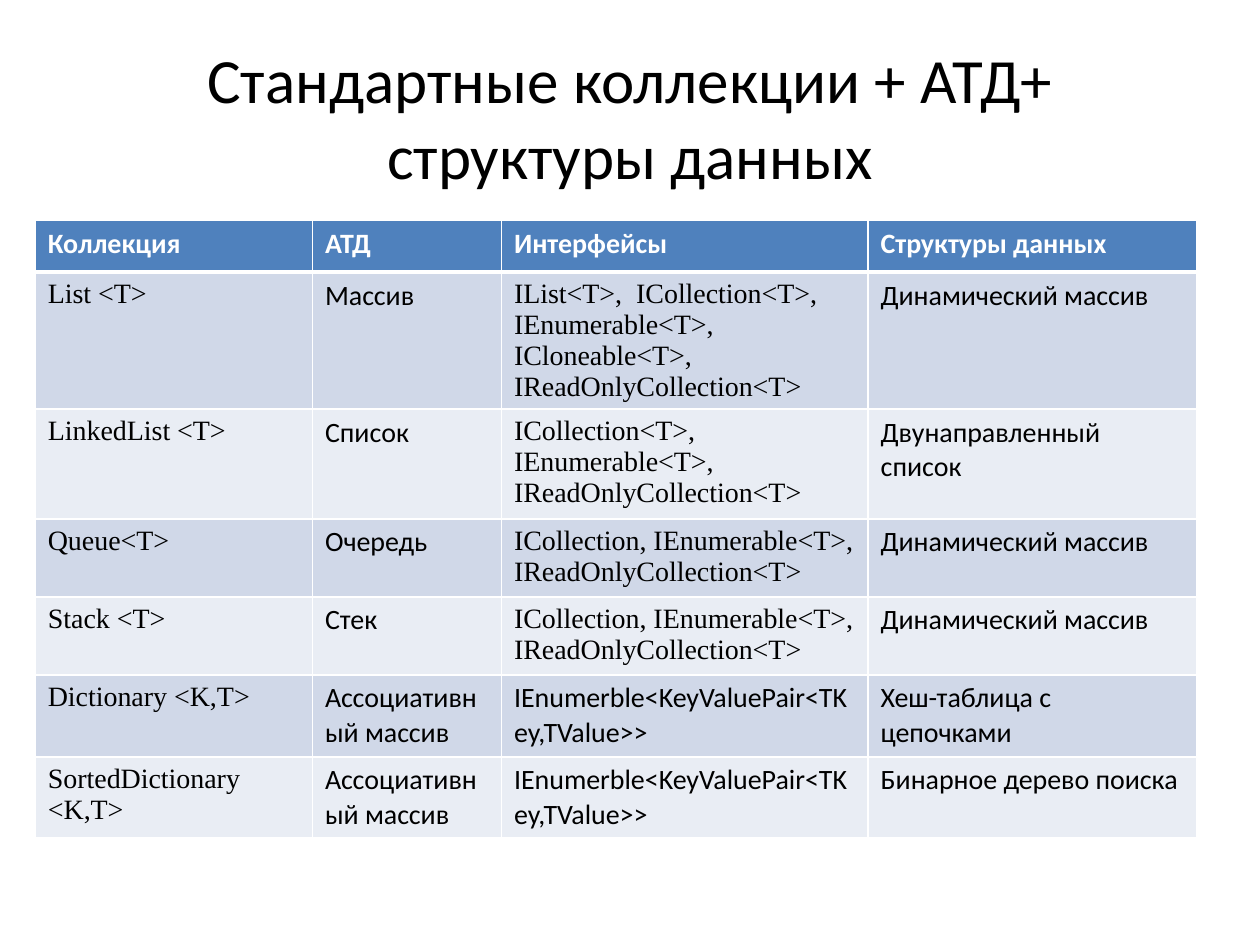
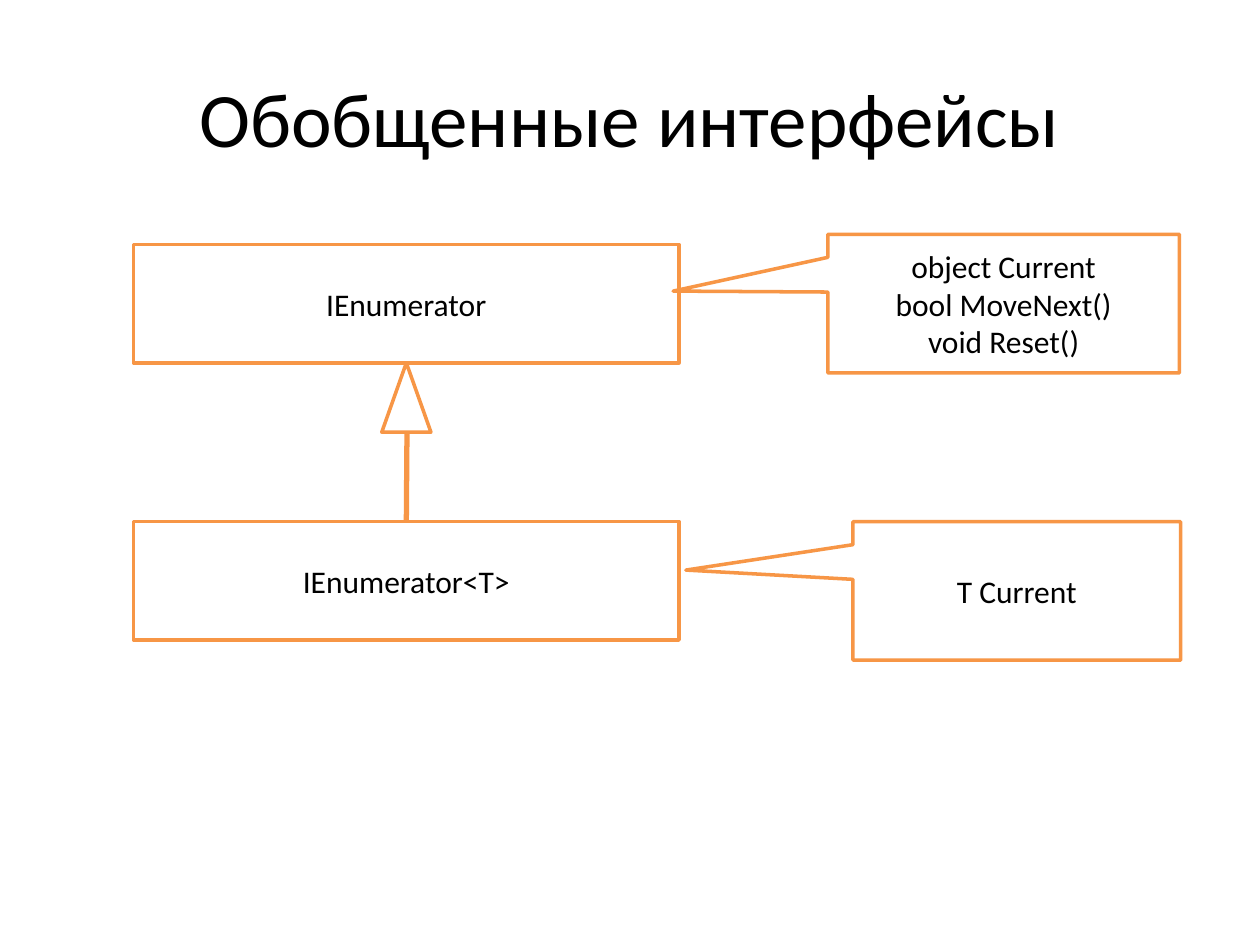
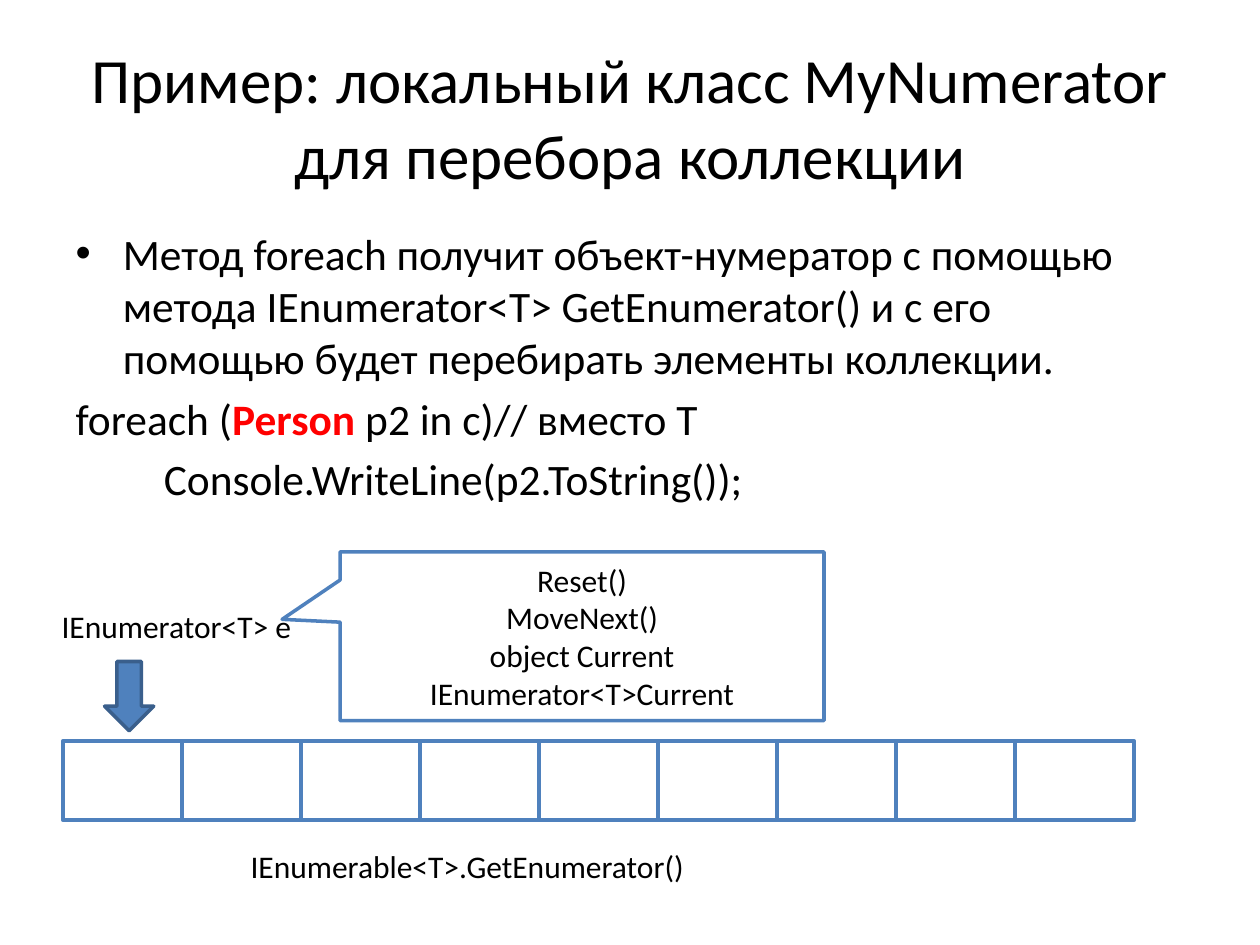
import dataclasses

import lxml.etree
import pptx
import pptx.dml.color
import pptx.enum.shapes
import pptx.enum.text
import pptx.oxml.ns
import pptx.util

Inches = pptx.util.Inches
Pt = pptx.util.Pt
Shape = pptx.enum.shapes.MSO_SHAPE
Align = pptx.enum.text.PP_ALIGN
Anchor = pptx.enum.text.MSO_ANCHOR
qn = pptx.oxml.ns.qn


@dataclasses.dataclass(frozen=True)
class Theme:
    font: str = "Calibri"
    code_font: str = "Times New Roman"
    text: str = "000000"
    white: str = "FFFFFF"
    blue: str = "4F81BD"
    dark_blue: str = "3A5F8C"
    orange: str = "F79646"
    red: str = "FF0000"
    bands: tuple = ("D0D8E8", "E9EDF4")
    title_size: float = 44
    long_title_size: float = 36
    body_size: float = 24.8
    label_size: float = 18
    table_size: float = 16
    outline: float = 2
    cell_outline: float = 2.25
    connector: float = 3


def rgb(color):
    return pptx.dml.color.RGBColor.from_string(color)


class Deck:
    def __init__(self, theme):
        self.theme = theme
        self.presentation = pptx.Presentation()
        self.presentation.slide_width = Inches(10)
        self.presentation.slide_height = Inches(7.5)

    def add_slide(self, title, size, layout="Title Only"):
        slide_layout = self.presentation.slide_layouts.get_by_name(layout)
        self.slide = self.presentation.slides.add_slide(slide_layout)
        self.shapes = self.slide.shapes
        shape = self.slide.shapes.title
        self.place(shape, 0.5, 0.3, 9, 1.25)
        frame = shape.text_frame
        frame.auto_size = pptx.enum.text.MSO_AUTO_SIZE.NONE
        frame.vertical_anchor = Anchor.MIDDLE
        self.set_lines(frame, [title], size, Align.CENTER)

    def start_group(self):
        self.shapes = self.slide.shapes.add_group_shape().shapes

    def place(self, shape, left, top, width, height):
        shape.left, shape.top = Inches(left), Inches(top)
        shape.width, shape.height = Inches(width), Inches(height)

    def style(self, font, size, color=None, name=None, bold=False):
        font.name = name or self.theme.font
        font.size = Pt(size)
        font.bold = bold
        font.color.rgb = rgb(color or self.theme.text)

    def set_lines(self, frame, lines, size, alignment=Align.LEFT):
        frame.text = "\n".join(lines)
        for paragraph in frame.paragraphs:
            paragraph.alignment = alignment
            self.style(paragraph.font, size)

    def body(self, paragraphs, height):
        shape = self.slide.placeholders[1]
        self.place(shape, 0.5, 1.75, 9, height)
        frame = shape.text_frame
        frame.auto_size = pptx.enum.text.MSO_AUTO_SIZE.NONE
        for index, (indent, runs) in enumerate(paragraphs):
            paragraph = frame.paragraphs[0] if index == 0 else frame.add_paragraph()
            self.style(paragraph.font, self.theme.body_size)
            for text, highlighted in runs:
                run = paragraph.add_run()
                run.text = text
                if highlighted:
                    run.font.bold = True
                    run.font.color.rgb = rgb(self.theme.red)
            if indent is not None:
                properties = paragraph._p.get_or_add_pPr()
                properties.set("marL", str(Inches(indent)))
                properties.set("indent", "0")
                properties.insert(0, properties.makeelement(qn("a:buNone"), {}))

    def shape(self, kind, left, top, width, height, line, lines=(),
              fill=None, line_width=None, pointer=()):
        shape = self.shapes.add_shape(
            kind, Inches(left), Inches(top), Inches(width), Inches(height))
        shape.shadow.inherit = False
        shape.fill.solid()
        shape.fill.fore_color.rgb = rgb(fill or self.theme.white)
        shape.line.color.rgb = rgb(line)
        shape.line.width = Pt(line_width or self.theme.outline)
        for index, value in enumerate(pointer):
            shape.adjustments[index] = value
        if lines:
            shape.text_frame.vertical_anchor = Anchor.MIDDLE
            self.set_lines(shape.text_frame, lines, self.theme.label_size, Align.CENTER)
        return shape

    def label(self, left, top, width, text):
        shape = self.shapes.add_textbox(
            Inches(left), Inches(top), Inches(width), Inches(0.4))
        shape.text_frame.word_wrap = True
        self.set_lines(shape.text_frame, [text], self.theme.label_size)

    def connector_to_top(self, x, top, target, color):
        connector = self.shapes.add_connector(
            pptx.enum.shapes.MSO_CONNECTOR.STRAIGHT,
            Inches(x), Inches(top), Inches(x), target.top)
        connector.end_connect(target, 0)
        connector.line.color.rgb = rgb(color)
        connector.line.width = Pt(self.theme.connector)
        lxml.etree.SubElement(connector._element.spPr, qn("a:effectLst"))

    def cell_borders(self, cell, bottom_width):
        properties = cell._tc.get_or_add_tcPr()
        sides = (("L", 1), ("R", 1), ("T", 1), ("B", bottom_width))
        for index, (side, width) in enumerate(sides):
            border = properties.makeelement(qn(f"a:ln{side}"), {"w": str(Pt(width))})
            fill = lxml.etree.SubElement(border, qn("a:solidFill"))
            lxml.etree.SubElement(fill, qn("a:srgbClr"), val=self.theme.white)
            properties.insert(index, border)

    def table(self, left, top, widths, heights, rows, is_code):
        table = self.shapes.add_table(
            len(rows), len(widths), Inches(left), Inches(top),
            Inches(sum(widths)), Inches(sum(heights))).table
        for column, width in zip(table.columns, widths):
            column.width = Inches(width)
        for row, height in zip(table.rows, heights):
            row.height = Inches(height)
        for row_index, row in enumerate(rows):
            header = row_index == 0
            fill = self.theme.blue if header else self.theme.bands[(row_index - 1) % 2]
            for column_index, text in enumerate(row):
                cell = table.cell(row_index, column_index)
                cell.text = text
                cell.fill.solid()
                cell.fill.fore_color.rgb = rgb(fill)
                code = not header and is_code(column_index, text)
                self.style(cell.text_frame.paragraphs[0].font, self.theme.table_size,
                           self.theme.white if header else self.theme.text,
                           self.theme.code_font if code else self.theme.font, header)
                self.cell_borders(cell, 3 if header else 1)


def add_collections(deck):
    deck.add_slide("Стандартные коллекции + АТД+ структуры данных",
                   deck.theme.long_title_size)
    queue_interfaces = "ICollection, IEnumerable<T>, IReadOnlyCollection<T>"
    pair_interfaces = "IEnumerble<KeyValuePair<TKey,TValue>>"
    rows = [
        ("Коллекция", "АТД", "Интерфейсы", "Структуры данных"),
        ("List <T>", "Массив",
         "IList<T>,  ICollection<T>, IEnumerable<T>, ICloneable<T>, IReadOnlyCollection<T>",
         "Динамический массив"),
        ("LinkedList <T>", "Список",
         "ICollection<T>, IEnumerable<T>, IReadOnlyCollection<T>",
         "Двунаправленный список"),
        ("Queue<T>", "Очередь", queue_interfaces, "Динамический массив"),
        ("Stack <T>", "Стек", queue_interfaces, "Динамический массив"),
        ("Dictionary <K,T>", "Ассоциативный массив", pair_interfaces,
         "Хеш-таблица с цепочками"),
        ("SortedDictionary <K,T>", "Ассоциативный массив", pair_interfaces,
         "Бинарное дерево поиска"),
    ]
    deck.table(0.28, 1.75, (2.2, 1.5, 2.91, 2.61),
               (0.41, 1.08, 0.87, 0.62, 0.62, 0.65, 0.64), rows,
               lambda column, text: column == 0
               or (column == 2 and text != pair_interfaces))


def add_interfaces(deck):
    orange = deck.theme.orange
    deck.add_slide("Обобщенные интерфейсы", deck.theme.title_size)
    base, generic = [
        deck.shape(Shape.RECTANGLE, 1.06, top, 4.33, 0.94, orange, [name])
        for top, name in ((1.94, "IEnumerator"), (4.14, "IEnumerator<T>"))]
    deck.shape(Shape.ISOSCELES_TRIANGLE, 3.03, 2.88, 0.39, 0.55, orange)
    deck.connector_to_top(3.23, 3.44, generic, orange)
    deck.shape(Shape.RECTANGULAR_CALLOUT, 6.57, 1.86, 2.79, 1.1, orange,
               ["object Current", "bool MoveNext()", "void Reset()"],
               pointer=(-0.94, -0.09))
    deck.shape(Shape.RECTANGULAR_CALLOUT, 6.77, 4.14, 2.6, 1.1, orange,
               ["T Current"], pointer=(-1.01, -0.15))


def add_enumerator_example(deck):
    theme = deck.theme
    deck.add_slide("Пример: локальный класс MyNumerator для перебора коллекции",
                   theme.long_title_size, "Title and Content")
    deck.body([
        (None, [("Метод foreach получит объект-нумератор с помощью метода "
                 "IEnumerator<T> GetEnumerator() и с его помощью будет "
                 "перебирать элементы коллекции.", False)]),
        (0, [("foreach (", False), ("Person", True),
             (" p2 in c)// вместо Т", False)]),
        (0.7, [("Console.WriteLine(p2.ToString());", False)]),
    ], 2.31)
    deck.start_group()
    cell_count = 9
    cell_width = 8.5 / cell_count
    for index in range(cell_count):
        deck.shape(Shape.RECTANGLE, 0.5 + index * cell_width, 5.88, cell_width, 0.63,
                   theme.blue, line_width=theme.cell_outline)
    deck.shape(Shape.DOWN_ARROW, 0.83, 5.25, 0.39, 0.55, theme.dark_blue,
               fill=theme.blue)
    deck.label(0.39, 4.77, 2.25, "IEnumerator<T> e")
    deck.label(1.89, 6.67, 4.65, "IEnumerable<T>.GetEnumerator()")
    deck.shape(Shape.RECTANGULAR_CALLOUT, 2.7, 4.38, 3.84, 1.34, theme.blue,
               ["Reset()", "MoveNext()", "object Current", "IEnumerator<T>Current"],
               pointer=(-0.62, -0.1))


def main():
    deck = Deck(Theme())
    add_collections(deck)
    add_interfaces(deck)
    add_enumerator_example(deck)
    deck.presentation.save("out.pptx")


if __name__ == "__main__":
    main()
